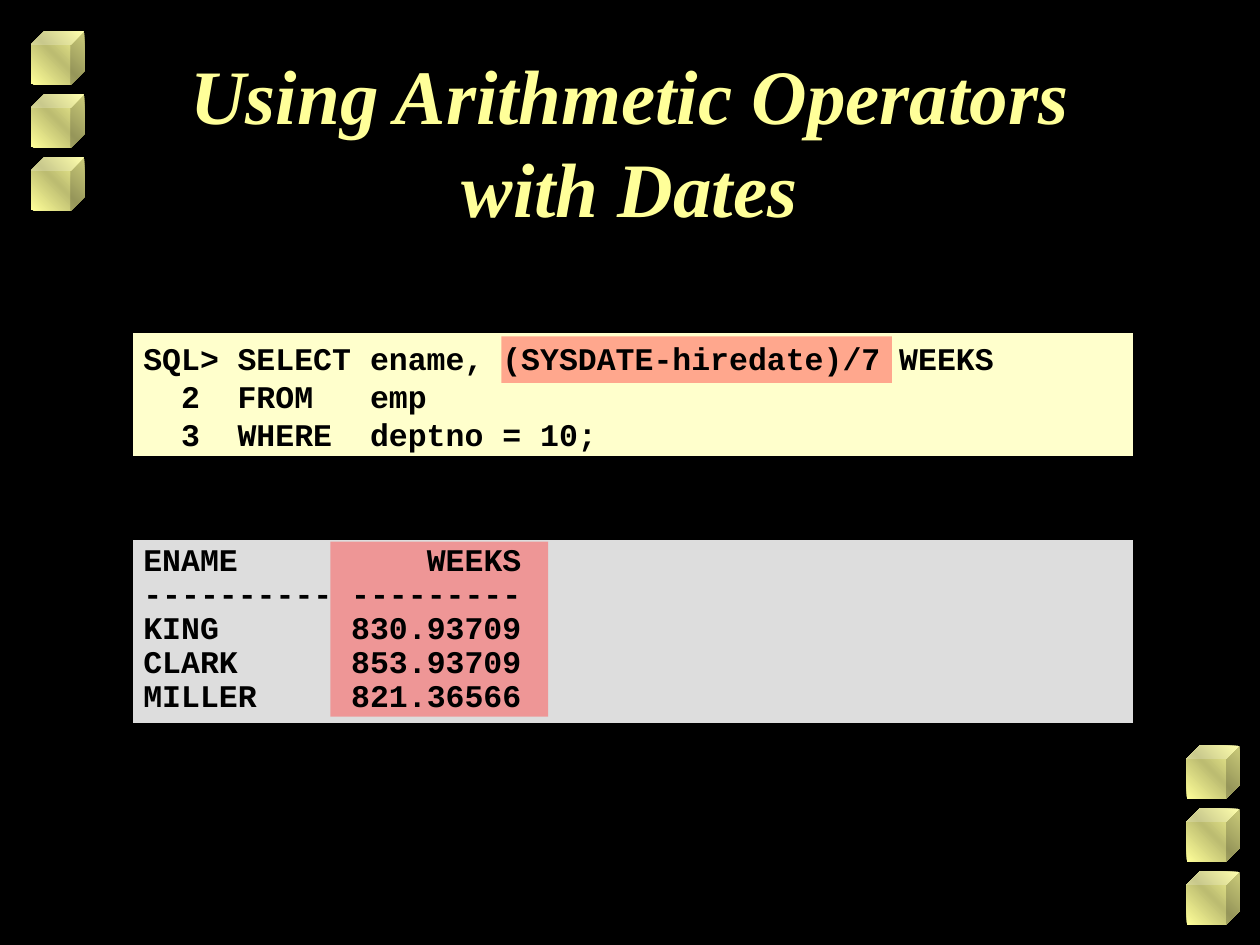
from lxml.etree import SubElement
from pptx import Presentation
from pptx.dml.color import RGBColor
from pptx.enum.shapes import MSO_SHAPE
from pptx.enum.text import MSO_ANCHOR, PP_ALIGN
from pptx.oxml.ns import qn
from pptx.util import Cm, Pt

BLACK = RGBColor(0x00, 0x00, 0x00)
YELLOW = RGBColor(0xFF, 0xFF, 0x99)
OLIVE = RGBColor(0xBC, 0xBC, 0x71)
CREAM = RGBColor(0xFF, 0xFF, 0xCC)
GRAY = RGBColor(0xDD, 0xDD, 0xDD)
RED = RGBColor(0xFF, 0x50, 0x50)

deck = Presentation()
deck.slide_width, deck.slide_height = Cm(25.4), Cm(19.05)
page = deck.slides.add_slide(deck.slide_layouts[6])
page.background.fill.solid()
page.background.fill.fore_color.rgb = BLACK


def add_block(kind, left, top, width, height):
    block = page.shapes.add_shape(kind, Cm(left), Cm(top), Cm(width), Cm(height))
    block.shadow.inherit = False
    block.line.fill.background()
    return block


def add_listing(rows, tabs, left, top, width, height, spacing, anchor):
    box = page.shapes.add_textbox(Cm(left), Cm(top), Cm(width), Cm(height))
    frame = box.text_frame
    frame.word_wrap = True
    frame.vertical_anchor = anchor
    frame.text = "\n".join(rows)
    for para in frame.paragraphs:
        para.line_spacing = spacing
        para.font.name = "Courier New"
        para.font.size = Pt(18)
        para.font.bold = True
        para.font.color.rgb = BLACK
        tab_list = SubElement(para._p.get_or_add_pPr(), qn("a:tabLst"))
        para._p.pPr.find(qn("a:defRPr")).addprevious(tab_list)
        for position, side in tabs:
            SubElement(tab_list, qn("a:tab"), pos=str(Cm(position)), algn=side)


for left, first_top in ((0.63, 0.63), (23.92, 15.03)):
    for row in range(3):
        cube = add_block(MSO_SHAPE.CUBE, left, first_top + row * 1.27, 1.07, 1.07)
        cube.fill.gradient()
        cube.fill.gradient_angle = 45
        stops = cube.fill._fill._gradFill.gsLst
        for stop, color in zip(cube.fill.gradient_stops, (YELLOW, YELLOW)):
            stop.color.rgb = color
        middle = SubElement(stops, qn("a:gs"), pos="50000")
        SubElement(middle, qn("a:srgbClr"), val=str(OLIVE))
        stops.insert(1, middle)

for top, height, color in ((6.68, 2.54, CREAM), (10.85, 3.76, GRAY)):
    panel = add_block(MSO_SHAPE.RECTANGLE, 2.64, top, 20.24, height)
    panel.fill.solid()
    panel.fill.fore_color.rgb = color
    panel.line.color.rgb = BLACK
    panel.line.width = Pt(2)

title = page.shapes.add_textbox(Cm(1.9), Cm(0.84), Cm(21.6), Cm(3.18))
title.text_frame.word_wrap = True
title.text_frame.text = "Using Arithmetic Operators\vwith Dates"
heading = title.text_frame.paragraphs[0]
heading.alignment = PP_ALIGN.CENTER
heading.font.name = "Times New Roman"
heading.font.size = Pt(44)
heading.font.bold = True
heading.font.italic = True
heading.font.color.rgb = YELLOW

for left, top, width, height in ((10.11, 6.78, 7.87, 0.94), (6.66, 10.92, 4.39, 3.53)):
    highlight = add_block(MSO_SHAPE.RECTANGLE, left, top, width, height)
    highlight.fill.solid()
    highlight.fill.fore_color.rgb = RED
    tint = highlight.fill._xPr.find(qn("a:solidFill"))[0]
    SubElement(tint, qn("a:alpha"), val="50000")

query = (
    "SQL>\tSELECT\tename, (SYSDATE-hiredate)/7 WEEKS",
    "\t2\tFROM\temp",
    "\t3\tWHERE\tdeptno = 10;",
)
query_tabs = ((0.76, "l"), (1.9, "l"), (4.57, "l"))
add_listing(query, query_tabs, 2.64, 5.99, 20.32, 3.99, 1.0, MSO_ANCHOR.MIDDLE)

result = (
    "ENAME\tWEEKS",
    "----------\t---------",
    "KING\t830.93709",
    "CLARK\t853.93709",
    "MILLER\t821.36566",
)
add_listing(result, ((7.62, "r"),), 2.64, 10.85, 20.24, 3.68, 0.9, MSO_ANCHOR.TOP)

deck.save("out.pptx")
